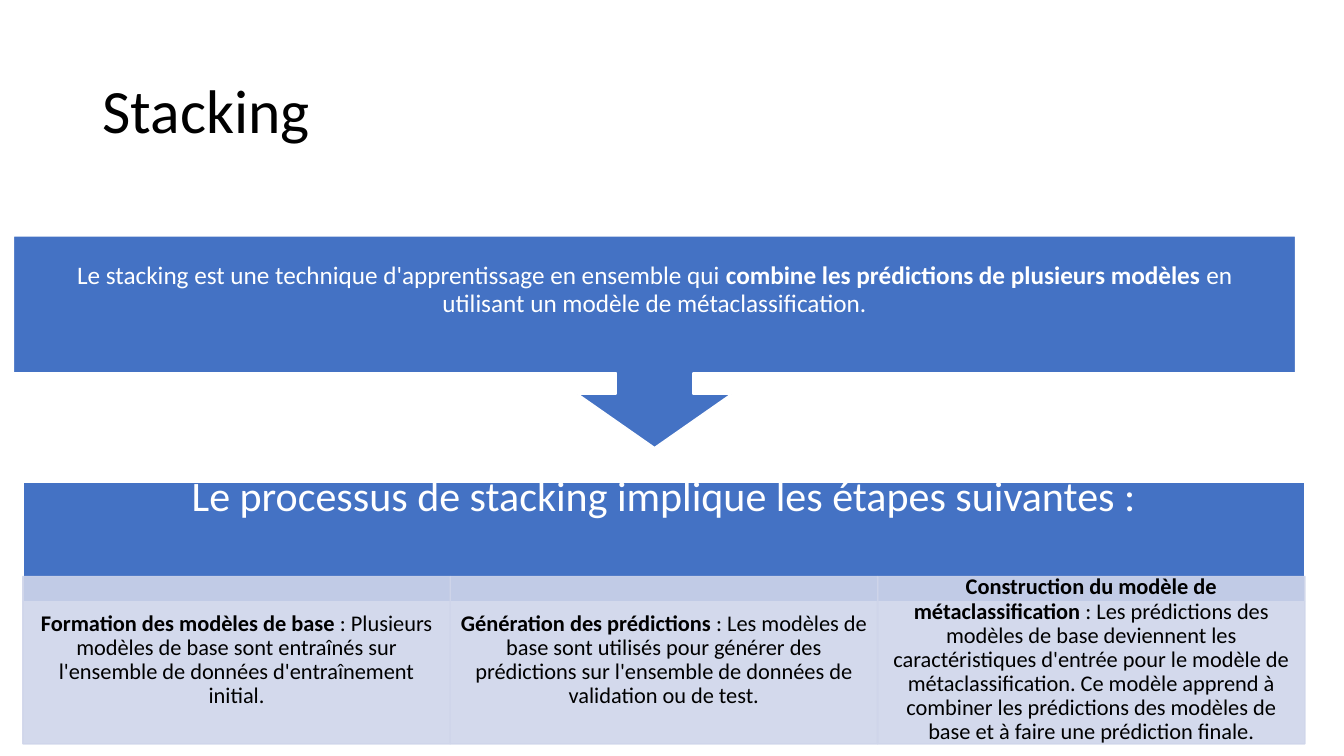
from dataclasses import dataclass

from pptx import Presentation
from pptx.dml.color import RGBColor
from pptx.enum.shapes import MSO_SHAPE as Preset
from pptx.enum.text import MSO_ANCHOR as Anchor, PP_ALIGN as Align
from pptx.oxml.ns import qn
from pptx.oxml.xmlchemy import OxmlElement
from pptx.util import Inches, Pt


@dataclass(frozen=True)
class Theme:
    font: str = "Calibri"
    black: str = "000000"
    white: str = "FFFFFF"
    blue: str = "4472C4"
    pale: str = "CFD5EA"
    title_size: int = 44
    header_size: int = 30
    intro_size: int = 18
    step_size: int = 16
    line_width: int = 1
    line_spacing: float = 0.9


INTRO = [
    ("Le stacking est une technique d'apprentissage en ensemble qui ", False),
    ("combine les prédictions de plusieurs modèles ", True),
    ("en utilisant un modèle de métaclassification.", False),
]
HEADER = [("Le processus de stacking implique les étapes suivantes :", False)]
STEPS = [
    ("Formation des modèles de base ",
     ": Plusieurs modèles de base sont entraînés sur l'ensemble de données "
     "d'entraînement initial."),
    ("Génération des prédictions ",
     ": Les modèles de base sont utilisés pour générer des prédictions sur "
     "l'ensemble de données de validation ou de test."),
    ("Construction du modèle de métaclassification ",
     ": Les prédictions des modèles de base deviennent les caractéristiques "
     "d'entrée pour le modèle de métaclassification. Ce modèle apprend à "
     "combiner les prédictions des modèles de base et à faire une prédiction "
     "finale."),
]
BAND_WIDTH = 95.4


class SlideBuilder:
    """Draws on one slide, in percent of its width and height."""

    def __init__(self, presentation, theme):
        self.theme = theme
        self.column = presentation.slide_width / 100
        self.row = presentation.slide_height / 100
        self.slide = presentation.slides.add_slide(presentation.slide_layouts[6])

    def place(self, left, top, width, height):
        return (round(left * self.column), round(top * self.row),
                round(width * self.column), round(height * self.row))

    def set_text(self, shape, runs, *, size, color, align=Align.CENTER,
                 insets=(0.1, 0.05, 0.1, 0.05)):
        """Fill a shape with (text, bold) runs; insets are in inches."""
        frame = shape.text_frame
        frame.word_wrap = True
        frame.vertical_anchor = Anchor.MIDDLE
        (frame.margin_left, frame.margin_top,
         frame.margin_right, frame.margin_bottom) = map(Inches, insets)
        paragraph = frame.paragraphs[0]
        paragraph.alignment = align
        paragraph.line_spacing = self.theme.line_spacing
        for text, bold in runs:
            run = paragraph.add_run()
            run.text = text
            run.font.name = self.theme.font
            run.font.size = Pt(size)
            run.font.bold = bold
            run.font.color.rgb = RGBColor.from_string(color)

    def paint(self, shape, fill, line, opacity=100):
        shape.shadow.inherit = False
        shape.fill.solid()
        shape.fill.fore_color.rgb = RGBColor.from_string(fill)
        shape.line.color.rgb = RGBColor.from_string(line)
        shape.line.width = Pt(self.theme.line_width)
        if opacity < 100:
            for color in shape._element.spPr.iter(qn("a:srgbClr")):
                alpha = OxmlElement("a:alpha")
                alpha.set("val", str(opacity * 1000))
                color.append(alpha)

    def title(self, text, *box):
        shape = self.slide.shapes.add_textbox(*self.place(*box))
        self.set_text(shape, [(text, False)], size=self.theme.title_size,
                      color=self.theme.black, align=Align.LEFT)

    def panel(self, runs, *box, fill, line, opacity=100, **text_format):
        shape = self.slide.shapes.add_shape(Preset.RECTANGLE, *self.place(*box))
        self.paint(shape, fill, line, opacity)
        self.set_text(shape, runs, **text_format)

    def arrow_band(self, runs, left, top, width, body, shoulder, tip,
                   neck_half, head_half, **text_format):
        """Band with a down arrow; body, shoulder and tip are depths below top."""
        right, middle = left + width, left + width / 2
        right_side = [(right, top), (right, top + body),
                      (middle + neck_half, top + body),
                      (middle + neck_half, top + shoulder),
                      (middle + head_half, top + shoulder)]
        left_side = [(2 * middle - x, y) for x, y in reversed(right_side)]
        outline = [(x * self.column, y * self.row)
                   for x, y in right_side + [(middle, top + tip)] + left_side]
        builder = self.slide.shapes.build_freeform(*outline[0])
        builder.add_line_segments(outline[1:], close=True)
        shape = builder.convert_to_shape()
        self.paint(shape, self.theme.blue, self.theme.white)
        self.set_text(shape, runs, **text_format)


def main():
    presentation = Presentation()
    presentation.slide_width = Inches(13.33)
    presentation.slide_height = Inches(7.5)
    theme = Theme()
    builder = SlideBuilder(presentation, theme)

    builder.title("Stacking", 6.9, 5.33, 86.25, 19.33)
    builder.panel(HEADER, 1.7, 63.73, BAND_WIDTH, 15.87,
                  fill=theme.blue, line=theme.white,
                  size=theme.header_size, color=theme.white,
                  insets=(0.23, 0.23, 0.23, 1.1))
    step_width = BAND_WIDTH / len(STEPS)
    for index, (name, detail) in enumerate(STEPS):
        builder.panel([(name, True), (detail, False)],
                      1.7 + index * step_width, 76.27, step_width, 22.13,
                      fill=theme.pale, line=theme.pale, opacity=90,
                      size=theme.step_size, color=theme.black,
                      insets=(0.08, 0.01, 0.08, 0.01))
    builder.arrow_band(INTRO, 1, 31.2, BAND_WIDTH, body=18.13, shoulder=20.93,
                       tip=28, neck_half=2.85, head_half=5.7,
                       size=theme.intro_size, color=theme.white,
                       insets=(0.23, 0.23, 0.23, 1.25))
    presentation.save("out.pptx")


if __name__ == "__main__":
    main()
